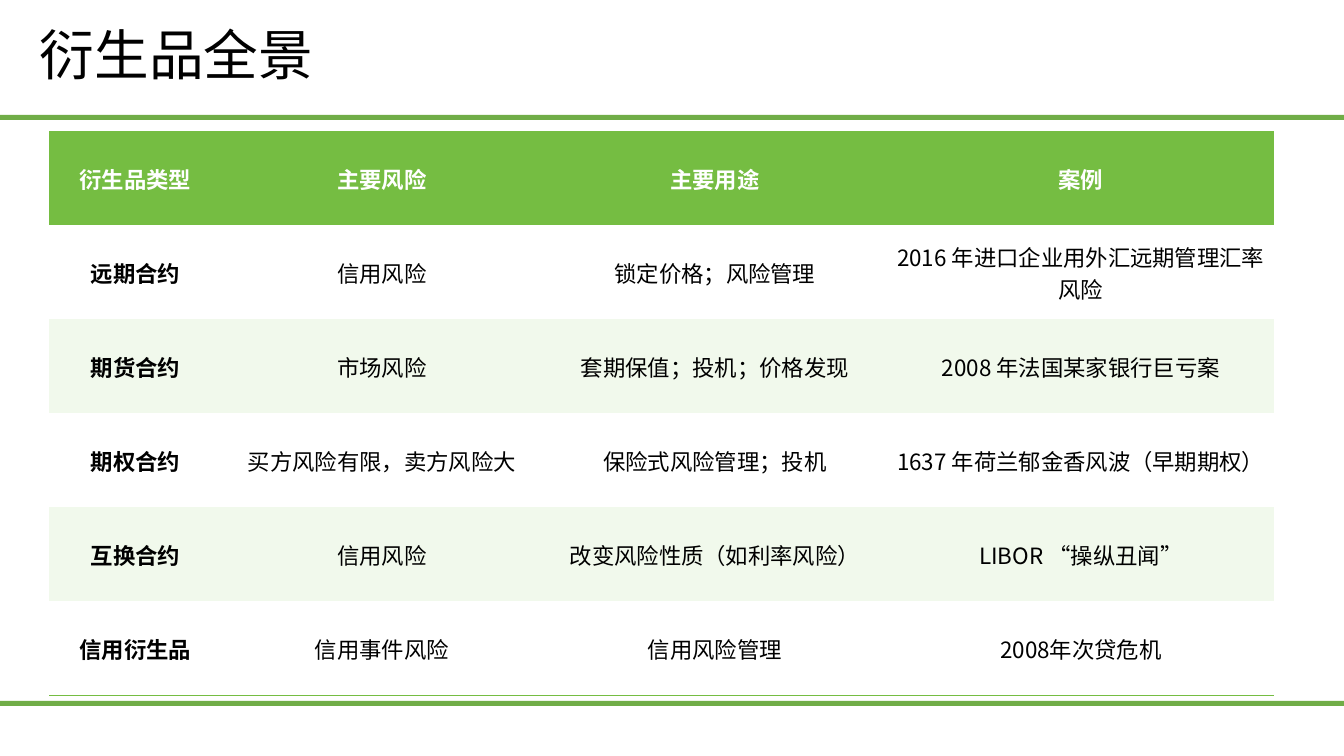
from lxml import etree
from pptx import Presentation
from pptx import util as u
from pptx.dml.color import RGBColor
from pptx.enum import lang, shapes, text
from pptx.oxml.ns import qn

PX = 914400 / 100.8
BLACK = RGBColor(0x00, 0x00, 0x00)
WHITE = RGBColor(0xFF, 0xFF, 0xFF)
RULE_GREEN = RGBColor(0x70, 0xAD, 0x47)
HEAD_GREEN = RGBColor(0x75, 0xBD, 0x42)
PALE_GREEN = RGBColor(0xF1, 0xF9, 0xEC)
PLAIN_TABLE = "{2D5ABB26-0587-4C30-8999-92F81FD0307C}"

DERIVATIVES = [
    ("衍生品类型", "主要风险", "主要用途", "案例"),
    ("远期合约", "信用风险", "锁定价格；风险管理", "2016 年进口企业用外汇远期管理汇率风险"),
    ("期货合约", "市场风险", "套期保值；投机；价格发现", "2008 年法国某家银行巨亏案"),
    ("期权合约", "买方风险有限，卖方风险大", "保险式风险管理；投机", "1637 年荷兰郁金香风波（早期期权）"),
    ("互换合约", "信用风险", "改变风险性质（如利率风险）", "LIBOR “操纵丑闻”"),
    ("信用衍生品", "信用事件风险", "信用风险管理", "2008年次贷危机"),
]


def px(length):
    return u.Emu(round(length * PX))


class SlideBuilder:
    font = "Noto Sans CJK SC"

    def __init__(self, page):
        self.page = page

    def span(self, para, words, size, color, bold=False):
        span = para.add_run()
        span.text = words
        font = span.font
        font.name, font.size, font.bold = self.font, u.Pt(size), bold
        font.color.rgb = color
        font.language_id = lang.MSO_LANGUAGE_ID.SIMPLIFIED_CHINESE
        east_asian = etree.Element(qn("a:ea"), typeface=self.font)
        font._element.find(qn("a:latin")).addnext(east_asian)

    def title(self, words, left, top, width, height):
        box = self.page.shapes.add_textbox(px(left), px(top), px(width), px(height))
        frame = box.text_frame
        frame.word_wrap = True
        frame.margin_left = frame.margin_right = 0
        frame.margin_top = frame.margin_bottom = 0
        para = frame.paragraphs[0]
        para.line_spacing = 0.86
        self.span(para, words, 39, BLACK)

    def rule(self, left, top, width, height):
        bar = self.page.shapes.add_shape(
            shapes.MSO_SHAPE.RECTANGLE, px(left), px(top), px(width), px(height))
        bar.shadow.inherit = False
        bar.fill.solid()
        bar.fill.fore_color.rgb = RULE_GREEN
        bar.line.fill.background()

    def table(self, rows, left, top, widths, row_height):
        table = self.page.shapes.add_table(
            len(rows), len(widths), px(left), px(top),
            px(sum(widths)), px(row_height * len(rows))).table
        table._tbl.tblPr.find(qn("a:tableStyleId")).text = PLAIN_TABLE
        table.horz_banding = False
        for column, width in zip(table.columns, widths):
            column.width = px(width)
        for r, row in enumerate(rows):
            table.rows[r].height = px(row_height)
            # Header, then white and pale rows in turn
            fill = HEAD_GREEN if r == 0 else WHITE if r % 2 else PALE_GREEN
            for c, words in enumerate(row):
                cell = table.cell(r, c)
                self.cell(cell, words, fill, WHITE if r == 0 else BLACK, r == 0 or c == 0)
                if r == len(rows) - 1:
                    self.bottom_border(cell, HEAD_GREEN, 0.5)

    def cell(self, cell, words, fill, color, bold):
        cell.fill.solid()
        cell.fill.fore_color.rgb = fill
        cell.vertical_anchor = text.MSO_ANCHOR.MIDDLE
        cell.margin_left = cell.margin_right = cell.margin_top = px(1)
        cell.margin_bottom = 0
        para = cell.text_frame.paragraphs[0]
        para.alignment = text.PP_ALIGN.CENTER
        self.span(para, words, 16, color, bold)

    def bottom_border(self, cell, color, points):
        border = etree.Element(qn("a:lnB"), w=str(u.Pt(points)))
        solid = etree.SubElement(border, qn("a:solidFill"))
        etree.SubElement(solid, qn("a:srgbClr"), val=str(color))
        cell._tc.get_or_add_tcPr().insert(0, border)


def main():
    deck = Presentation()
    deck.slide_width, deck.slide_height = px(1344), px(756)
    builder = SlideBuilder(deck.slides.add_slide(deck.slide_layouts[6]))

    # Title
    builder.title("衍生品全景", 40, 30, 569, 58)

    # Green rules above and below the table
    for top in (115, 701):
        builder.rule(0, top, 1344, 5)

    # Overview of derivatives
    builder.table(DERIVATIVES, 49, 131, (173, 320, 346, 386), 94)

    deck.save("out.pptx")


if __name__ == "__main__":
    main()
